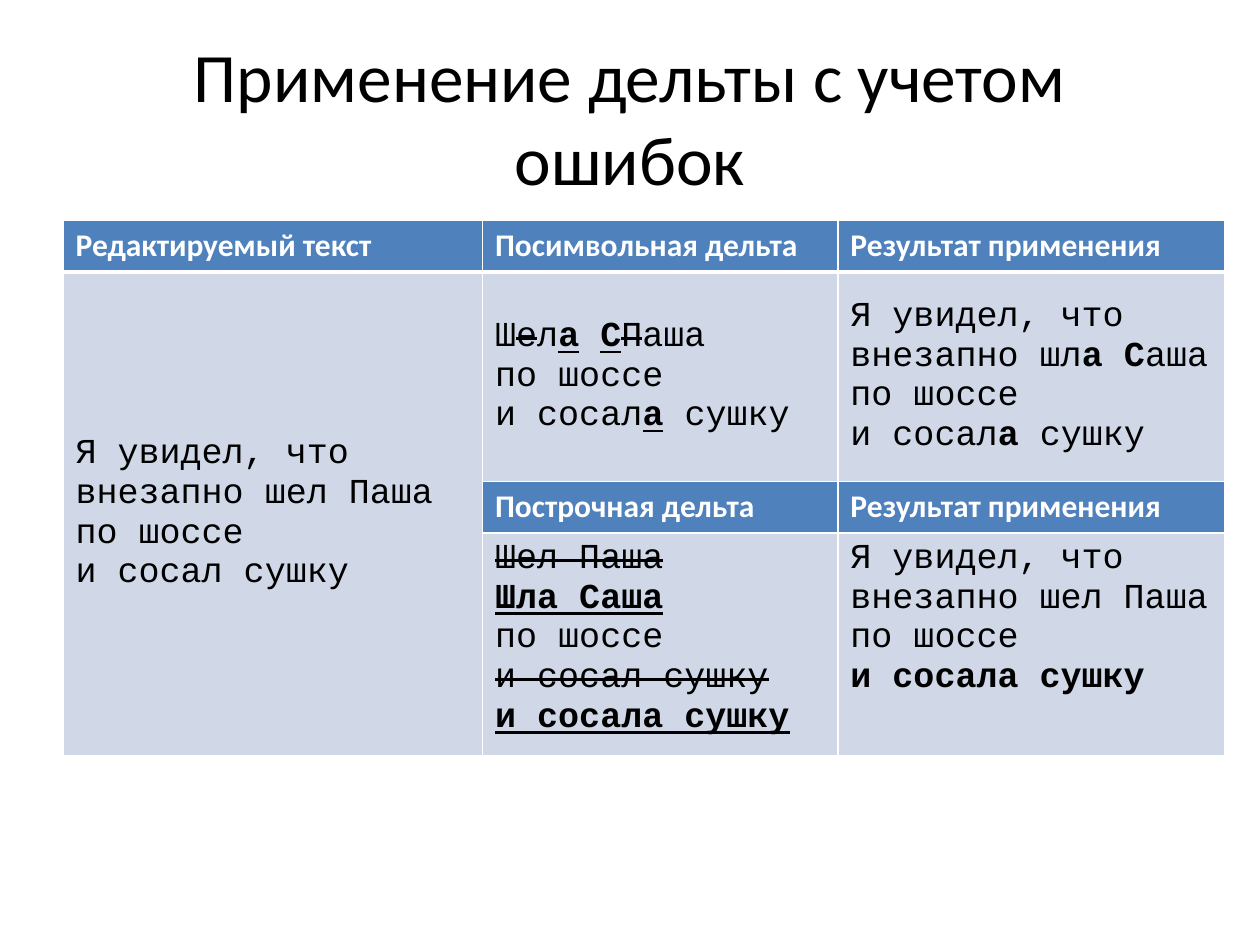
from dataclasses import dataclass

from lxml import etree
from pptx import Presentation
from pptx import util as u
from pptx.dml.color import RGBColor
from pptx.enum import text
from pptx.oxml import ns


@dataclass(frozen=True)
class Theme:
    heading_font: str = "Calibri"
    code_font: str = "Courier New"
    title_size: float = 39.6
    header_size: float = 18
    code_size: float = 20
    ink: str = "000000"
    paper: str = "FFFFFF"
    header_fill: str = "4F81BD"
    body_fill: str = "D0D8E8"
    border: float = 1
    header_border: float = 3


@dataclass(frozen=True)
class Span:
    text: str
    bold: bool = False
    underline: bool = False
    strike: bool = False


@dataclass(frozen=True)
class Entry:
    """One table cell: each line is a list of spans."""
    row: int
    column: int
    lines: list[list[Span]]
    header: bool = False
    anchor: text.MSO_ANCHOR = text.MSO_ANCHOR.MIDDLE


THEME = Theme()
COLUMN_WIDTHS = (3.33, 2.82, 3.07)
ROW_HEIGHTS = (0.41, 1.66, 0.41, 1.67)


def plain(value: str) -> list[Span]:
    return [Span(value)]


def added(value: str) -> Span:
    return Span(value, bold=True, underline=True)


def removed(value: str) -> Span:
    return Span(value, strike=True)


def heading(row: int, column: int, value: str, anchor=text.MSO_ANCHOR.TOP) -> Entry:
    return Entry(row, column, [[Span(value, bold=True)]], True, anchor)


ENTRIES = [
    heading(0, 0, "Редактируемый текст"),
    heading(0, 1, "Посимвольная дельта"),
    heading(0, 2, "Результат применения"),
    heading(2, 1, "Построчная дельта"),
    heading(2, 2, "Результат применения", text.MSO_ANCHOR.MIDDLE),
    Entry(1, 0, [plain("Я увидел, что"), plain("внезапно шел Паша"),
                 plain("по шоссе"), plain("и сосал сушку")]),
    Entry(1, 1, [
        [Span("Ш"), removed("е"), Span("л"), added("а"), Span(" "),
         added("С"), removed("П"), Span("аша")],
        plain("по шоссе"),
        [Span("и сосал"), added("а"), Span(" сушку")],
    ]),
    Entry(1, 2, [
        plain("Я увидел, что"),
        [Span("внезапно шл"), Span("а С", bold=True), Span("аша")],
        plain("по шоссе"),
        [Span("и сосал"), Span("а", bold=True), Span(" сушку")],
    ]),
    Entry(3, 1, [[removed("Шел Паша")], [added("Шла Саша")], plain("по шоссе"),
                 [removed("и сосал сушку")], [added("и сосала сушку")]],
          anchor=text.MSO_ANCHOR.TOP),
    Entry(3, 2, [plain("Я увидел, что"), plain("внезапно шел Паша"),
                 plain("по шоссе"), [Span("и сосала сушку", bold=True)]],
          anchor=text.MSO_ANCHOR.TOP),
]


def write(frame, lines: list[list[Span]], *, font: str, size: float, color: str,
          align=text.PP_ALIGN.LEFT) -> None:
    for index, spans in enumerate(lines):
        para = frame.paragraphs[0] if index == 0 else frame.add_paragraph()
        para.alignment = align
        for span in spans:
            run = para.add_run()
            run.text = span.text
            run.font.name = font
            run.font.size = u.Pt(size)
            run.font.color.rgb = RGBColor.from_string(color)
            run.font.bold = span.bold
            run.font.underline = span.underline
            if span.strike:
                run.font._element.set("strike", "sngStrike")


def set_borders(cell, row: int) -> None:
    """Outline a cell in white, with a thicker rule under the top row."""
    widths = dict.fromkeys(("lnL", "lnR", "lnT", "lnB"), THEME.border)
    if row == 0:
        widths["lnB"] = THEME.header_border
    elif row == 1:
        widths["lnT"] = THEME.header_border
    properties = cell._tc.get_or_add_tcPr()
    for index, (side, width) in enumerate(widths.items()):
        line = etree.Element(ns.qn(f"a:{side}"), w=str(u.Pt(width)))
        fill = etree.SubElement(line, ns.qn("a:solidFill"))
        etree.SubElement(fill, ns.qn("a:srgbClr"), val=THEME.paper)
        properties.insert(index, line)


def add_title(page, value: str) -> None:
    box = page.shapes.add_textbox(u.Inches(0.5), u.Inches(0.3), u.Inches(9), u.Inches(1.25))
    box.text_frame.word_wrap = True
    box.text_frame.vertical_anchor = text.MSO_ANCHOR.MIDDLE
    write(box.text_frame, [plain(value)], font=THEME.heading_font, size=THEME.title_size,
          color=THEME.ink, align=text.PP_ALIGN.CENTER)


def fill_cell(cell, entry: Entry) -> None:
    cell.vertical_anchor = entry.anchor
    cell.fill.solid()
    cell.fill.fore_color.rgb = RGBColor.from_string(
        THEME.header_fill if entry.header else THEME.body_fill)
    if entry.header:
        write(cell.text_frame, entry.lines, font=THEME.heading_font,
              size=THEME.header_size, color=THEME.paper)
    else:
        write(cell.text_frame, entry.lines, font=THEME.code_font,
              size=THEME.code_size, color=THEME.ink)


def add_delta_table(page) -> None:
    frame = page.shapes.add_table(
        len(ROW_HEIGHTS), len(COLUMN_WIDTHS), u.Inches(0.5), u.Inches(1.75),
        u.Inches(sum(COLUMN_WIDTHS)), u.Inches(sum(ROW_HEIGHTS)))
    table = frame.table
    table.horz_banding = False
    for column, width in zip(table.columns, COLUMN_WIDTHS):
        column.width = u.Inches(width)
    for row, height in zip(table.rows, ROW_HEIGHTS):
        row.height = u.Inches(height)
    table.cell(1, 0).merge(table.cell(3, 0))
    for entry in ENTRIES:
        cell = table.cell(entry.row, entry.column)
        fill_cell(cell, entry)
        set_borders(cell, entry.row)


def main() -> None:
    deck = Presentation()
    deck.slide_width, deck.slide_height = u.Inches(10), u.Inches(7.5)
    page = deck.slides.add_slide(deck.slide_layouts[6])
    add_title(page, "Применение дельты с учетом ошибок")
    add_delta_table(page)
    deck.save("out.pptx")


if __name__ == "__main__":
    main()
